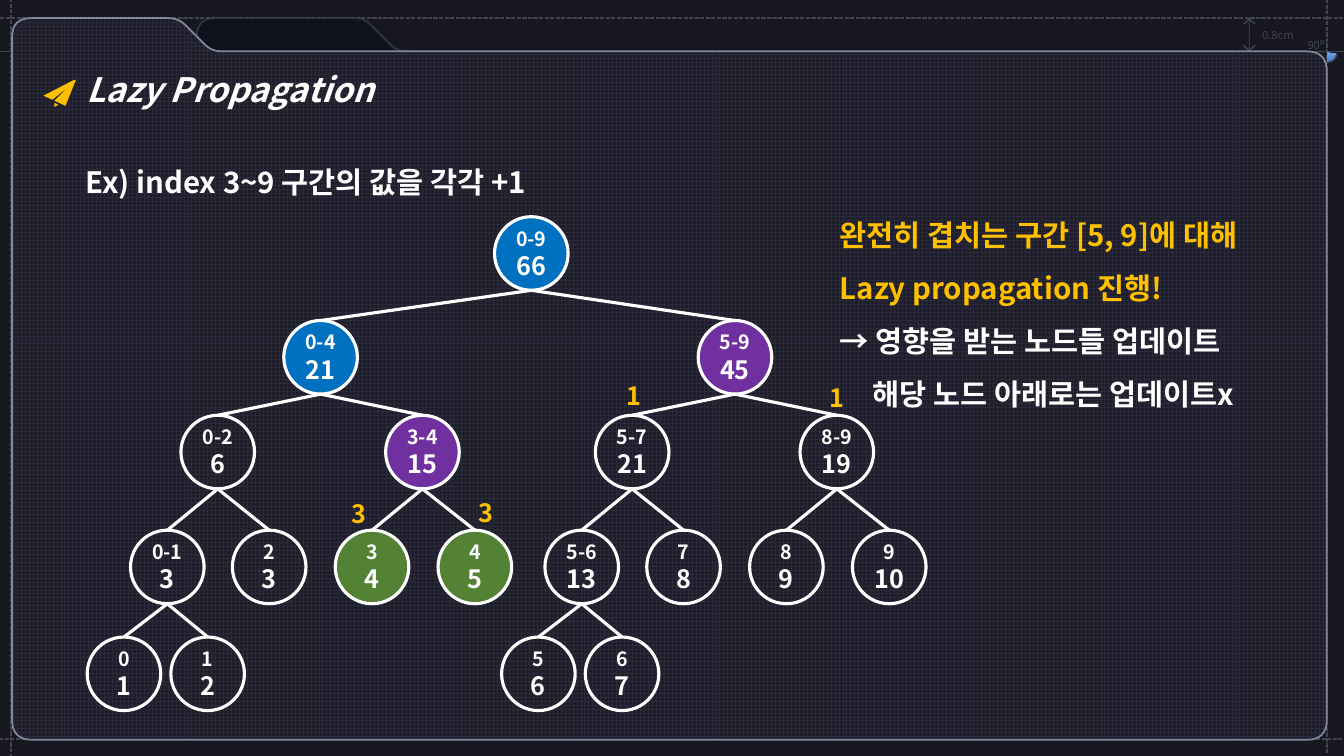
from lxml.etree import SubElement
from pptx import Presentation
from pptx.dml.color import RGBColor
from pptx.enum.dml import MSO_LINE, MSO_PATTERN
from pptx.enum.shapes import MSO_CONNECTOR, MSO_SHAPE
from pptx.enum.text import MSO_ANCHOR, PP_ALIGN
from pptx.oxml.ns import qn
from pptx.util import Inches, Pt

FONT = "Noto Sans CJK KR"
COLORS = {
    "background": "17171F", "guide": "424452", "tab": "0F111D", "tab edge": "4D505F",
    "panel": "1E1E2A", "panel grid": "2A2A3A", "panel edge": "84879C",
    "white": "FFFFFF", "yellow": "FFC000", "visited": "0070C0",
    "covered": "7030A0", "leaf": "548235",
}

# Guide lines: start x, start y, end x, end y
DASHED_GUIDES = [(0, 0.18, 13.35, 0.18), (0.11, -0.02, 0.11, 7.5),
                 (13.16, -0.01, 13.16, 7.47), (-0.01, 7.33, 13.33, 7.33)]
TAB_GUIDE = (-0.01, 0.51, 13.33, 0.51)
HEIGHT_MARK = (12.39, 0.18, 12.39, 0.5)
ARROW_TIPS = [[(12.33, 0.24), (12.39, 0.19), (12.45, 0.24)],
              [(12.45, 0.45), (12.39, 0.5), (12.33, 0.45)]]

# Outline corners: x, y, rounding
BACK_TAB = [(1.95, 0.18, 0.19), (3.61, 0.18, 0.09), (3.94, 0.51, 0.09),
            (4.08, 0.51, 0), (4.08, 0.78, 0), (1.95, 0.78, 0)]
PANEL = [(0.12, 0.18, 0.19), (1.77, 0.18, 0.1), (2.1, 0.51, 0.1),
         (13.16, 0.51, 0.2), (13.16, 7.34, 0.2), (0.12, 7.34, 0.2)]
PAPER_PLANE = [
    [(0.74, 0.79), (0.75, 0.8), (0.65, 1.05), (0.54, 1), (0.68, 0.86), (0.52, 0.99), (0.43, 0.95)],
    [(0.54, 1.02), (0.58, 1.04), (0.54, 1.06)],
]

# Text boxes: left, top, width, height, size, bold, italic, line spacing, [(text, color, indent)]
GUIDE_LABELS = [
    (12.42, 0.23, 0.63, 0.24, 8, False, False, 1, [("0.8cm", "guide", 0)]),
    (12.87, 0.33, 0.6, 0.24, 8, False, False, 1, [("90º", "guide", 0)]),
]
TEXTS = [
    (0.76, 0.63, 6.25, 0.5, 24, True, True, 1, [("Lazy Propagation", "white", 0)]),
    (0.75, 1.4, 12.13, 1.09, 21, True, False, 1.5,
     [("Ex) index 3~9 구간의 값을 각각 +1", "white", 0)]),
    (8.23, 1.93, 5.37, 2.15, 21, True, False, 1.5, [
        ("완전히 겹치는 구간 [5, 9]에 대해", "yellow", 0),
        ("Lazy propagation 진행!", "yellow", 0),
        ("→ 영향을 받는 노드들 업데이트", "white", 0),
        ("해당 노드 아래로는 업데이트x", "white", 0.33),
    ]),
]
LAZY_VALUES = [("3", 3.39, 4.89), ("3", 4.65, 4.88), ("1", 6.12, 3.72), ("1", 8.13, 3.74)]

# Segment tree: each half is listed in heap order, as (range, value, fill)
DIAMETER = 0.73
ROOT = ("0-9", "66", "visited")
ROOT_CENTER = 5.27
LEVEL_TOPS = [2.15, 3.18, 4.12, 5.26, 6.32]
HALF_CENTERS = [3.18, 7.29]
OFFSETS = [0, -1.02, 1.01, -1.52, -0.51, 0.51, 1.53, -1.95, -1.12]
HALVES = [
    [("0-4", "21", "visited"), ("0-2", "6", None), ("3-4", "15", "covered"),
     ("0-1", "3", None), ("2", "3", None), ("3", "4", "leaf"), ("4", "5", "leaf"),
     ("0", "1", None), ("1", "2", None)],
    [("5-9", "45", "covered"), ("5-7", "21", None), ("8-9", "19", None),
     ("5-6", "13", None), ("7", "8", None), ("8", "9", None), ("9", "10", None),
     ("5", "6", None), ("6", "7", None)],
]


def rgb(name):
    return RGBColor.from_string(COLORS[name])


def set_fill(shape, color):
    if color is None:
        shape.fill.background()
    else:
        shape.fill.solid()
        shape.fill.fore_color.rgb = rgb(color)


def set_line(shape, color, width, alpha=None):
    shape.line.color.rgb = rgb(color)
    shape.line.width = Pt(width)
    if alpha:
        color_element = shape.line.fill._xPr.find(".//" + qn("a:srgbClr"))
        SubElement(color_element, qn("a:alpha"), val=str(alpha * 1000))


def add_line(shapes, ends, color, width, alpha=None, dash=None):
    line = shapes.add_connector(MSO_CONNECTOR.STRAIGHT, *[Inches(end) for end in ends])
    set_line(line, color, width, alpha)
    if dash:
        line.line.dash_style = dash
    SubElement(line._element.spPr, qn("a:effectLst"))


def add_outline(shapes, contours, close=True):
    contours = [[(Inches(x), Inches(y)) for x, y in contour] for contour in contours]
    builder = shapes.build_freeform(*contours[0][0])
    for index, contour in enumerate(contours):
        if index:
            builder.move_to(*contour[0])
        builder.add_line_segments(contour[1:], close=close)
    shape = builder.convert_to_shape()
    shape.shadow.inherit = False
    return shape


def round_corners(corners, steps=8):
    """Replace each corner by points on a quadratic curve."""
    points = []
    for index, (x, y, radius) in enumerate(corners):
        if not radius:
            points.append((x, y))
            continue
        ends = []
        for near_x, near_y, _ in (corners[index - 1], corners[(index + 1) % len(corners)]):
            share = radius / ((near_x - x) ** 2 + (near_y - y) ** 2) ** 0.5
            ends.append((x + (near_x - x) * share, y + (near_y - y) * share))
        for step in range(steps + 1):
            t = step / steps
            points.append(tuple((1 - t) ** 2 * start + 2 * t * (1 - t) * middle + t ** 2 * end
                                for start, middle, end in zip(ends[0], (x, y), ends[1])))
    return points


def write(paragraph, text, color, size, bold=True, italic=False):
    run = paragraph.add_run()
    run.text = text
    formats = {"name": FONT, "size": Pt(size), "bold": bold, "italic": italic}
    for attribute, value in formats.items():
        setattr(run.font, attribute, value)
    run.font.color.rgb = rgb(color)
    SubElement(run.font._element, qn("a:ea"), typeface=FONT)


def add_text(shapes, left, top, width, height, size, bold, italic, spacing, lines):
    box = shapes.add_textbox(*[Inches(value) for value in (left, top, width, height)])
    frame = box.text_frame
    frame.word_wrap = True
    for index, (text, color, indent) in enumerate(lines):
        paragraph = frame.add_paragraph() if index else frame.paragraphs[0]
        paragraph.line_spacing = spacing
        if indent:
            paragraph._p.get_or_add_pPr().set("marL", str(Inches(indent)))
        write(paragraph, text, color, size, bold, italic)


def add_node(shapes, node, center, top):
    index_range, value, fill = node
    circle = shapes.add_shape(MSO_SHAPE.OVAL, Inches(center - DIAMETER / 2), Inches(top),
                              Inches(DIAMETER), Inches(DIAMETER))
    circle.shadow.inherit = False
    set_fill(circle, fill)
    set_line(circle, "white", 2.25)
    frame = circle.text_frame
    frame.vertical_anchor = MSO_ANCHOR.MIDDLE
    for side in ("left", "right", "top", "bottom"):
        setattr(frame, "margin_" + side, 0)
    for paragraph, text, size in ((frame.paragraphs[0], index_range, 14),
                                  (frame.add_paragraph(), value, 18)):
        paragraph.alignment = PP_ALIGN.CENTER
        write(paragraph, text, "white", size)


def add_tree(shapes):
    add_node(shapes, ROOT, ROOT_CENTER, LEVEL_TOPS[0])
    for half_center, nodes in zip(HALF_CENTERS, HALVES):
        for index, (node, offset) in enumerate(zip(nodes, OFFSETS)):
            level = (index + 1).bit_length()
            center = half_center + offset
            parent = half_center + OFFSETS[(index - 1) // 2] if index else ROOT_CENTER
            add_node(shapes, node, center, LEVEL_TOPS[level])
            add_line(shapes, (parent, LEVEL_TOPS[level - 1] + DIAMETER,
                              center, LEVEL_TOPS[level]), "white", 2.25)


def add_folder(shapes):
    for ends in DASHED_GUIDES:
        add_line(shapes, ends, "guide", 1, dash=MSO_LINE.SQUARE_DOT)
    tab = add_outline(shapes, [round_corners(BACK_TAB)])
    set_fill(tab, "tab")
    set_line(tab, "tab edge", 1.5, alpha=48)
    add_line(shapes, TAB_GUIDE, "guide", 1)
    add_line(shapes, HEIGHT_MARK, "guide", 1, alpha=61)
    for tip in ARROW_TIPS:
        arrow = add_outline(shapes, [tip], close=False)
        set_fill(arrow, None)
        set_line(arrow, "guide", 1)
    arc = shapes.add_shape(MSO_SHAPE.ARC, Inches(13.07), Inches(0.43), Inches(0.19), Inches(0.19))
    arc.adjustments[0], arc.adjustments[1] = 1.33, 53.74
    arc.shadow.inherit = False
    set_line(arc, "guide", 1)
    for label in GUIDE_LABELS:
        add_text(shapes, *label)
    panel = add_outline(shapes, [round_corners(PANEL)])
    panel.fill.patterned()
    panel.fill.pattern = MSO_PATTERN.LARGE_GRID
    panel.fill.fore_color.rgb = rgb("panel grid")
    panel.fill.back_color.rgb = rgb("panel")
    set_line(panel, "panel edge", 1.25)


def main():
    presentation = Presentation()
    presentation.slide_width, presentation.slide_height = Inches(13.33), Inches(7.5)
    slide = presentation.slides.add_slide(presentation.slide_layouts[6])
    slide.background.fill.solid()
    slide.background.fill.fore_color.rgb = rgb("background")
    add_folder(slide.shapes)
    plane = add_outline(slide.shapes, PAPER_PLANE)
    set_fill(plane, "yellow")
    plane.line.fill.background()
    add_tree(slide.shapes)
    for text in TEXTS:
        add_text(slide.shapes, *text)
    for value, left, top in LAZY_VALUES:
        add_text(slide.shapes, left, top, 0.43, 0.71, 18, True, False, 1, [(value, "yellow", 0)])
    presentation.save("out.pptx")


if __name__ == "__main__":
    main()
